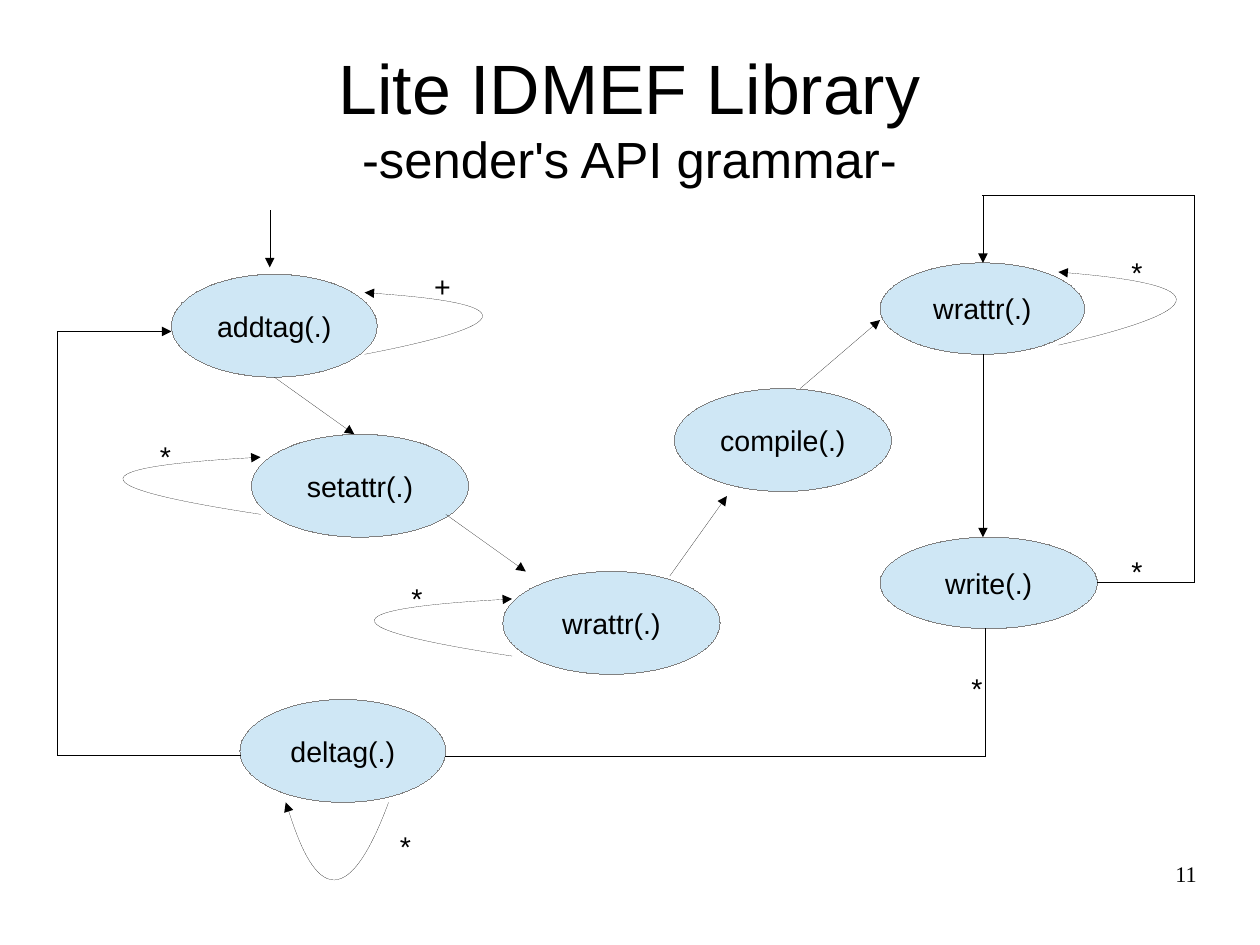
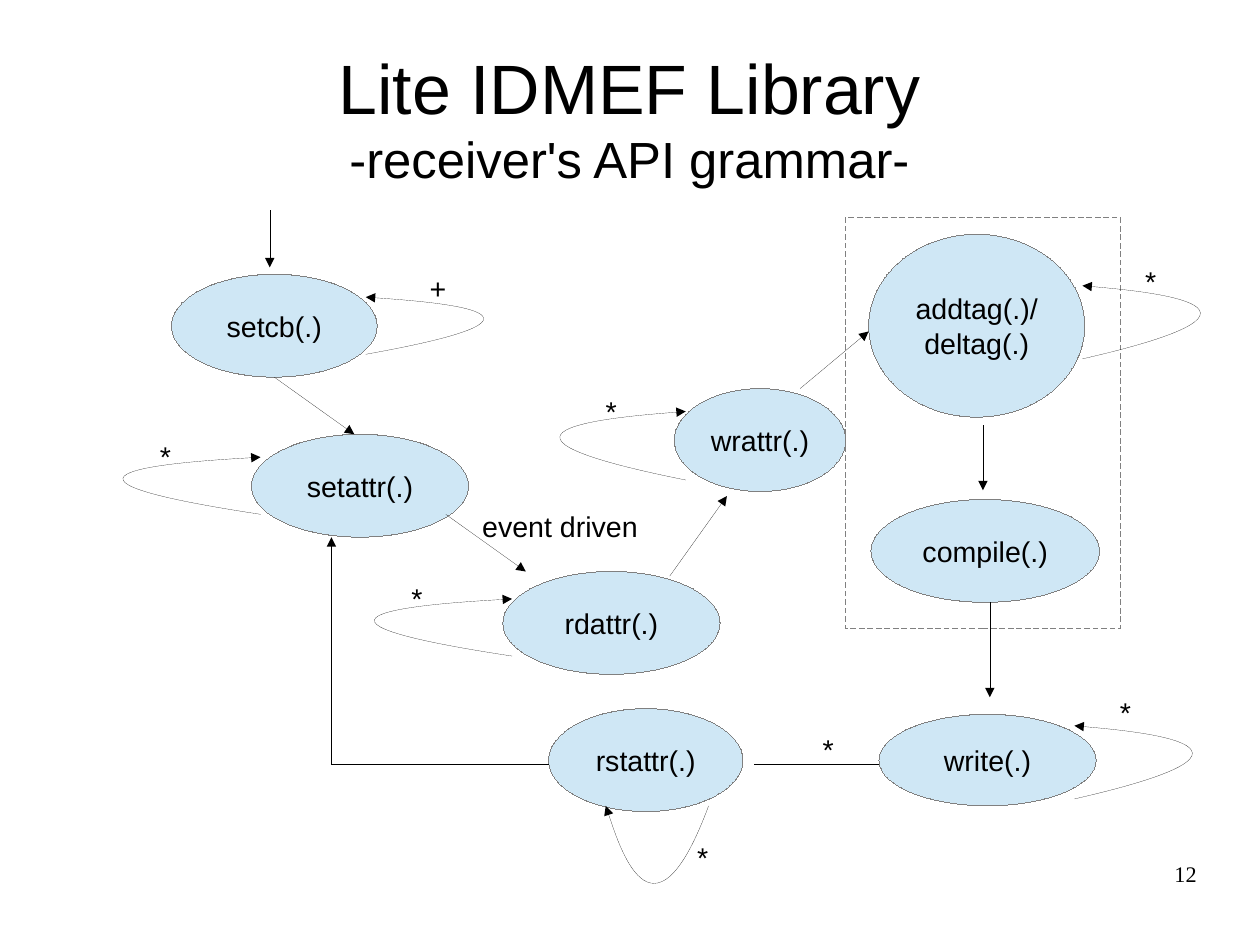
"""Draw the sender and receiver grammars of an API as state diagrams."""
import pptx
import pptx.dml.color
import pptx.enum.dml
import pptx.enum.shapes
import pptx.enum.text
import pptx.oxml.ns
import pptx.util
from lxml import etree

BLACK, GREY, BLUE = "000000", "808080", "CFE7F5"
SANS, SERIF = "Arial", "Times New Roman"
HAIR = pptx.util.Pt(0.01)
ALIGN = pptx.enum.text.PP_ALIGN
SHAPE = pptx.enum.shapes.MSO_SHAPE
MIDDLE = pptx.enum.text.MSO_ANCHOR.MIDDLE


def inch(size):
    """Turn inches into a length."""
    return pptx.util.Cm(size * 2.54)


def color(code):
    """Turn a hex string into a colour."""
    return pptx.dml.color.RGBColor.from_string(code)


def add(parent, name, **keys):
    """Add a drawing element to its parent."""
    return etree.SubElement(parent, pptx.oxml.ns.qn(name), **keys)


def style(par, size, align, face=SANS):
    """Set the font and alignment of a paragraph."""
    par.alignment = align
    par.font.size = pptx.util.Pt(size)
    par.font.name = face
    par.font.color.rgb = color(BLACK)


def bare(frame):
    """Take the insets off a text frame and let it wrap."""
    frame.word_wrap = True
    frame.margin_left = frame.margin_right = 0
    frame.margin_top = frame.margin_bottom = 0


def stroke(shape, code, head=False):
    """Give a shape a hairline, with an arrowhead at its end if asked."""
    shape.line.color.rgb = color(code)
    shape.line.width = HAIR
    if head:
        add(shape.line._get_or_add_ln(), "a:tailEnd", type="triangle")


class Pane:
    """Hold a region of a slide, drawn in inches from its own corner."""

    def __init__(self, slide, left, top):
        """Keep the slide and the corner."""
        self.shapes = slide.shapes
        self.left, self.top = left, top

    def spot(self, x, y):
        """Turn a local point into a place on the slide."""
        return inch(self.left + x), inch(self.top + y)

    def node(self, text, x, y, wide=1.9, high=0.9):
        """Draw an oval state."""
        oval = self.shapes.add_shape(
            SHAPE.OVAL, *self.spot(x, y), inch(wide), inch(high))
        oval.shadow.inherit = False
        oval.fill.solid()
        oval.fill.fore_color.rgb = color(BLUE)
        stroke(oval, GREY)
        oval.text_frame.vertical_anchor = MIDDLE
        oval.text_frame.text = text
        for par in oval.text_frame.paragraphs:
            style(par, 18, ALIGN.CENTER)

    def mark(self, text, x, y, wide=0.4):
        """Write a label beside an arrow."""
        box = self.shapes.add_textbox(
            *self.spot(x, y), inch(wide), inch(0.38))
        box.text_frame.word_wrap = True
        box.text_frame.text = text
        style(box.text_frame.paragraphs[0], 18, ALIGN.LEFT)

    def route(self, *stops, head=True):
        """Join the stops with straight lines, the last one an arrow."""
        last = len(stops) - 2
        for i, (start, end) in enumerate(zip(stops, stops[1:])):
            line = self.shapes.add_connector(
                pptx.enum.shapes.MSO_CONNECTOR.STRAIGHT,
                *self.spot(*start), *self.spot(*end))
            stroke(line, BLACK, head and i == last)
            add(line._element.spPr, "a:effectLst")

    def loop(self, start, bend, tip, steps=32):
        """Draw a curved arrow pulled towards the bend."""
        dots = []
        for i in range(steps + 1):
            t = i / steps
            a, b = (1 - t) ** 3, 3 * t * (1 - t) ** 2
            dots.append(self.spot(*(
                a * p + b * q + (1 - a - b) * r
                for p, q, r in zip(start, bend, tip))))
        form = self.shapes.build_freeform(*dots[0])
        form.add_line_segments(dots[1:], close=False)
        curve = form.convert_to_shape()
        trace = next(curve._element.iter(pptx.oxml.ns.qn("a:path")))
        for part in trace[1:]:
            trace.remove(part)
        arc = add(trace, "a:cubicBezTo")
        for point in bend, tip, tip:
            x, y = self.spot(*point)
            add(arc, "a:pt", x=str(x - curve.left), y=str(y - curve.top))
        curve.shadow.inherit = False
        curve.fill.background()
        stroke(curve, BLACK, True)

    def side(self, x, y, high, reach):
        """Draw a loop beside a state."""
        self.loop((x, y + high), (x + reach, y + high / 4), (x, y))

    def under(self, x, y):
        """Draw a loop below a state."""
        self.loop((x + 0.9, y), (x + 0.4, y + 1.35), (x, y))

    def group(self, x, y, wide, high):
        """Draw a dashed frame around states."""
        rect = self.shapes.add_shape(
            SHAPE.RECTANGLE, *self.spot(x, y), inch(wide), inch(high))
        rect.shadow.inherit = False
        rect.fill.background()
        stroke(rect, GREY)
        rect.line.dash_style = pptx.enum.dml.MSO_LINE.DASH


def base(deck, role, number):
    """Add a slide with its title and number."""
    slide = deck.slides.add_slide(deck.slide_layouts[5])
    title = slide.shapes.title
    title.left, title.top = inch(0.55), inch(0.33)
    title.width, title.height = inch(9.92), inch(1.38)
    frame = title.text_frame
    bare(frame)
    frame.auto_size = pptx.enum.text.MSO_AUTO_SIZE.NONE
    frame.vertical_anchor = MIDDLE
    par = frame.paragraphs[0]
    style(par, 44, ALIGN.CENTER)
    par.add_run().text = "Lite IDMEF Library"
    par.add_line_break()
    run = par.add_run()
    run.text = f"-{role}'s API grammar-"
    run.font.size = pptx.util.Pt(32)
    foot = slide.shapes.add_textbox(
        inch(7.9), inch(7.53), inch(2.57), inch(0.57))
    bare(foot.text_frame)
    foot.text_frame.text = str(number)
    style(foot.text_frame.paragraphs[0], 14, ALIGN.RIGHT, SERIF)
    return slide


def chain(pane, first, third):
    """Draw the three opening states that both grammars share."""
    pane.node(first, 0.5, 0.4, 1.8)
    pane.node("setattr(.)", 1.2, 1.8)
    pane.node(third, 3.4, 3)
    pane.route((1.36, -0.16), (1.36, 0.34))
    pane.route((1.4, 1.3), (2.1, 1.8))
    pane.route((2.9, 2.5), (3.6, 3))
    pane.route((4.86, 3.04), (5.36, 2.34))
    for x, y in (1.28, 2), (3.48, 3.24):
        pane.side(x, y, 0.5, -2.48)
        pane.mark("*", x - 0.98, y - 0.21)


def emit(pane):
    """Draw the sender's compile and write states."""
    pane.node("compile(.)", 0.9, 1.4)
    pane.node("wrattr(.)", 2.7, 0.3, 1.79, 0.8)
    pane.node("write(.)", 2.7, 2.7, high=0.8)
    pane.route((2, 1.4), (2.7, 0.8))
    pane.route((3.6, 1.1), (3.6, 2.7))
    pane.side(4.26, 0.38, 0.64, 2.1)
    pane.route((4.6, 3.1), (5.45, 3.1), (5.45, -0.29),
               (3.6, -0.29), (3.6, 0.3))
    pane.mark("*", 4.8, 0.18)
    pane.mark("*", 4.8, 2.8)


def drop(pane):
    """Draw the sender's way back through deltag."""
    pane.node("deltag(.)", 2.1, 4.12, 1.8)
    pane.route((8.62, 3.5), (8.62, 4.62), (3.9, 4.62), head=False)
    pane.route((2.1, 4.61), (0.5, 4.61), (0.5, 0.9), (1.5, 0.9))
    pane.under(2.5, 5.02)
    pane.mark("*", 8.4, 3.82)
    pane.mark("*", 3.4, 5.2)


def build(pane):
    """Draw the receiver's tag, compile and write states."""
    pane.node("wrattr(.)", 0.9, 1.4, 1.5)
    pane.node("addtag(.)/\ndeltag(.)", 2.6, 0.05, 1.89, 1.6)
    pane.node("compile(.)", 2.62, 2.37, 2)
    pane.node("write(.)", 2.69, 4.25, high=0.8)
    pane.group(2.4, -0.1, 2.4, 3.6)
    pane.route((2, 1.4), (2.6, 0.9))
    pane.route((3.6, 1.72), (3.6, 2.29))
    pane.route((3.66, 3.27), (3.66, 4.1))
    pane.side(1, 1.6, 0.6, -2.25)
    pane.side(4.47, 0.5, 0.64, 2.1)
    pane.side(4.4, 4.35, 0.64, 2.1)
    for x, y in (0.2, 1.4), (4.92, 0.26), (4.7, 4.03):
        pane.mark("*", x, y)


def reset(pane):
    """Draw the receiver's way back through rstattr."""
    pane.node("rstattr(.)", 2.8, 0.2, 1.7)
    pane.route((5.69, 0.69), (4.6, 0.69), head=False)
    pane.route((2.8, 0.69), (0.9, 0.69), (0.9, -1.3))
    pane.under(3.3, 1.05)
    pane.mark("*", 5.1, 0.35)
    pane.mark("*", 4, 1.3)


def sender(deck):
    """Add the sender's slide."""
    slide = base(deck, "sender", 11)
    start = Pane(slide, 1, 2)
    chain(start, "addtag(.)", "wrattr(.)")
    start.side(2.19, 0.56, 0.54, 2.1)
    start.mark("+", 2.7, 0.3)
    emit(Pane(slide, 5, 2))
    drop(Pane(slide, 0, 2))


def taker(deck):
    """Add the receiver's slide."""
    slide = base(deck, "receiver", 12)
    start = Pane(slide, 1, 2)
    chain(start, "setcb(.)", "rdattr(.)")
    start.side(2.2, 0.6, 0.5, 2.1)
    start.mark("+", 2.66, 0.32)
    start.mark("event driven", 3.12, 2.4, 2)
    build(Pane(slide, 5, 2))
    reset(Pane(slide, 2, 6))


def main():
    """Build and save the deck."""
    deck = pptx.Presentation()
    deck.slide_width = pptx.util.Cm(28)
    deck.slide_height = pptx.util.Cm(21)
    sender(deck)
    taker(deck)
    deck.save("out.pptx")


if __name__ == "__main__":
    main()
